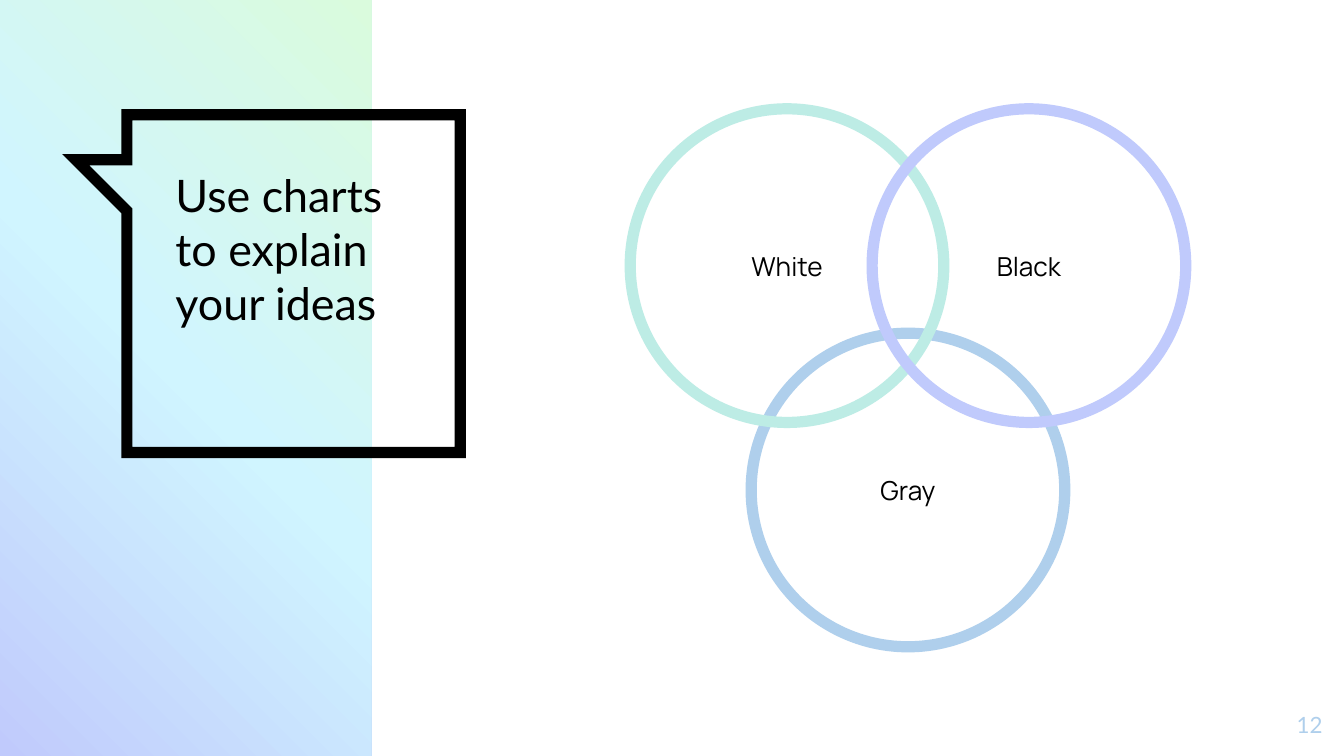
from copy import deepcopy

from lxml import etree
from pptx import Presentation
from pptx.dml.color import RGBColor
from pptx.enum.shapes import MSO_SHAPE
from pptx.enum.text import MSO_ANCHOR, PP_ALIGN
from pptx.oxml.ns import qn
from pptx.util import Pt

RECTANGLE, OVAL = MSO_SHAPE.RECTANGLE, MSO_SHAPE.OVAL
LEFT, CENTER, RIGHT = PP_ALIGN.LEFT, PP_ALIGN.CENTER, PP_ALIGN.RIGHT
TOP, MIDDLE = MSO_ANCHOR.TOP, MSO_ANCHOR.MIDDLE

WIDTH, HEIGHT = 720, 405
BLACK, PALE_BLUE = "000000", "AFCFEC"
LINE_WIDTH, INSET = 6, 7.2

PANEL_WIDTH = 199
PANEL_STOPS = [(0, "C0CAFC"), (0.5, "D0F5FF"), (1, "DAFBDD")]
BUBBLE = [(68, 61.5), (246.6, 61.5), (246.6, 242.4), (68, 242.4),
          (68, 113), (40.6, 85.6), (68, 85.6)]
TITLE = "Use charts to explain your ideas"
PAGE_NUMBER = "12"

DIAMETER = 168
VENN_CENTER_X, VENN_TOP = 486.4, 58.3
STEP_X, STEP_Y = 64.8, 120.2
CIRCLES = [("Gray", PALE_BLUE, 0, 1), ("White", "BDECE5", -1, 0), ("Black", "C0CAFC", 1, 0)]


def color(value):
    """Turn a hex string into a colour."""
    return RGBColor.from_string(value)


def write(shape, text, font, size, value, alignment, anchor):
    """Put one formatted run into a shape."""
    frame = shape.text_frame
    frame.word_wrap = True
    frame.vertical_anchor = anchor
    frame.margin_left = frame.margin_right = Pt(INSET)
    frame.margin_top = frame.margin_bottom = Pt(INSET)
    paragraph = frame.paragraphs[0]
    paragraph.alignment = alignment
    run = paragraph.add_run()
    run.text = text
    run.font.name = font
    run.font.size = Pt(size)
    run.font.color.rgb = color(value)


def outline(shape, value):
    """Leave a shape hollow with a thick line."""
    shape.shadow.inherit = False
    shape.fill.background()
    shape.line.color.rgb = color(value)
    shape.line.width = Pt(LINE_WIDTH)


def add_panel(slide):
    """Draw the gradient panel on the left."""
    panel = slide.shapes.add_shape(RECTANGLE, 0, 0, Pt(PANEL_WIDTH), Pt(HEIGHT))
    panel.shadow.inherit = False
    panel.line.fill.background()
    panel.fill.gradient()
    panel.fill.gradient_angle = 45
    stop_list = panel.fill._xPr.find(".//" + qn("a:gsLst"))
    stop_list.insert(1, deepcopy(stop_list[0]))
    for stop, (position, value) in zip(panel.fill.gradient_stops, PANEL_STOPS):
        stop.position = position
        stop.color.rgb = color(value)


def add_bubble(slide):
    """Draw the speech bubble with sharp corners."""
    points = [(Pt(x), Pt(y)) for x, y in BUBBLE]
    builder = slide.shapes.build_freeform(*points[0])
    builder.add_line_segments(points[1:], close=True)
    bubble = builder.convert_to_shape()
    outline(bubble, BLACK)
    line = bubble.line._get_or_add_ln()
    etree.SubElement(line, qn("a:miter"), lim="800000")


def add_text_box(slide, box, *style):
    """Add a text box at a place given in points."""
    write(slide.shapes.add_textbox(*map(Pt, box)), *style)


def add_circle(slide, label, value, column, row):
    """Draw one labelled circle of the Venn diagram."""
    left = VENN_CENTER_X + column * STEP_X - DIAMETER / 2
    top = VENN_TOP + row * STEP_Y
    circle = slide.shapes.add_shape(OVAL, Pt(left), Pt(top), Pt(DIAMETER), Pt(DIAMETER))
    outline(circle, value)
    write(circle, label, "Manrope", 14, BLACK, CENTER, MIDDLE)


def main():
    """Build and save the slide."""
    presentation = Presentation()
    presentation.slide_width, presentation.slide_height = Pt(WIDTH), Pt(HEIGHT)
    slide = presentation.slides.add_slide(presentation.slide_layouts[6])
    add_panel(slide)
    add_bubble(slide)
    add_text_box(slide, (86.9, 82.8, 144.7, 150.5), TITLE, "Lato", 24, BLACK, LEFT, TOP)
    for circle in CIRCLES:
        add_circle(slide, *circle)
    add_text_box(slide, (672.5, 374, 43.2, 31), PAGE_NUMBER, "Lato", 12, PALE_BLUE, RIGHT, TOP)
    presentation.save("out.pptx")


if __name__ == "__main__":
    main()
